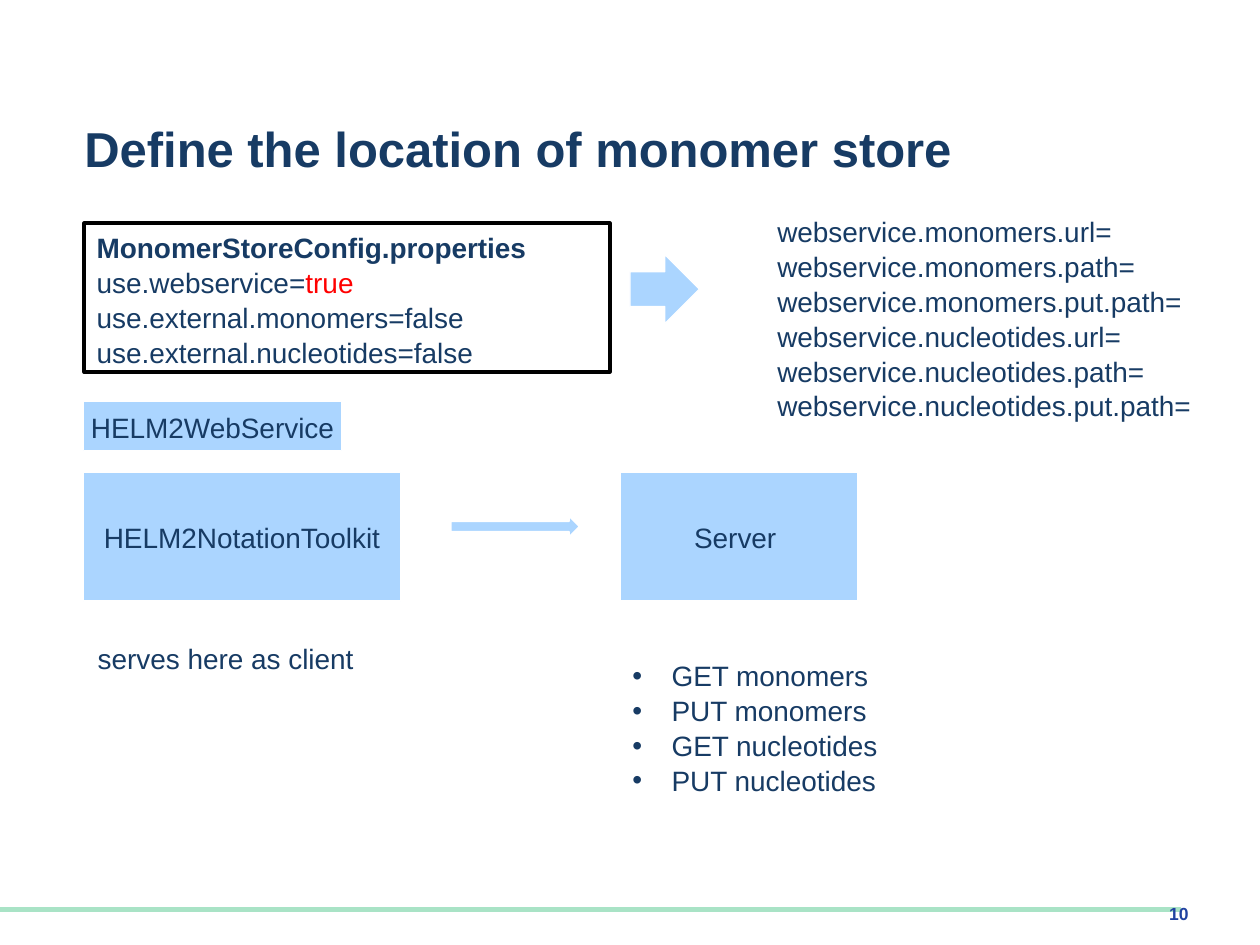
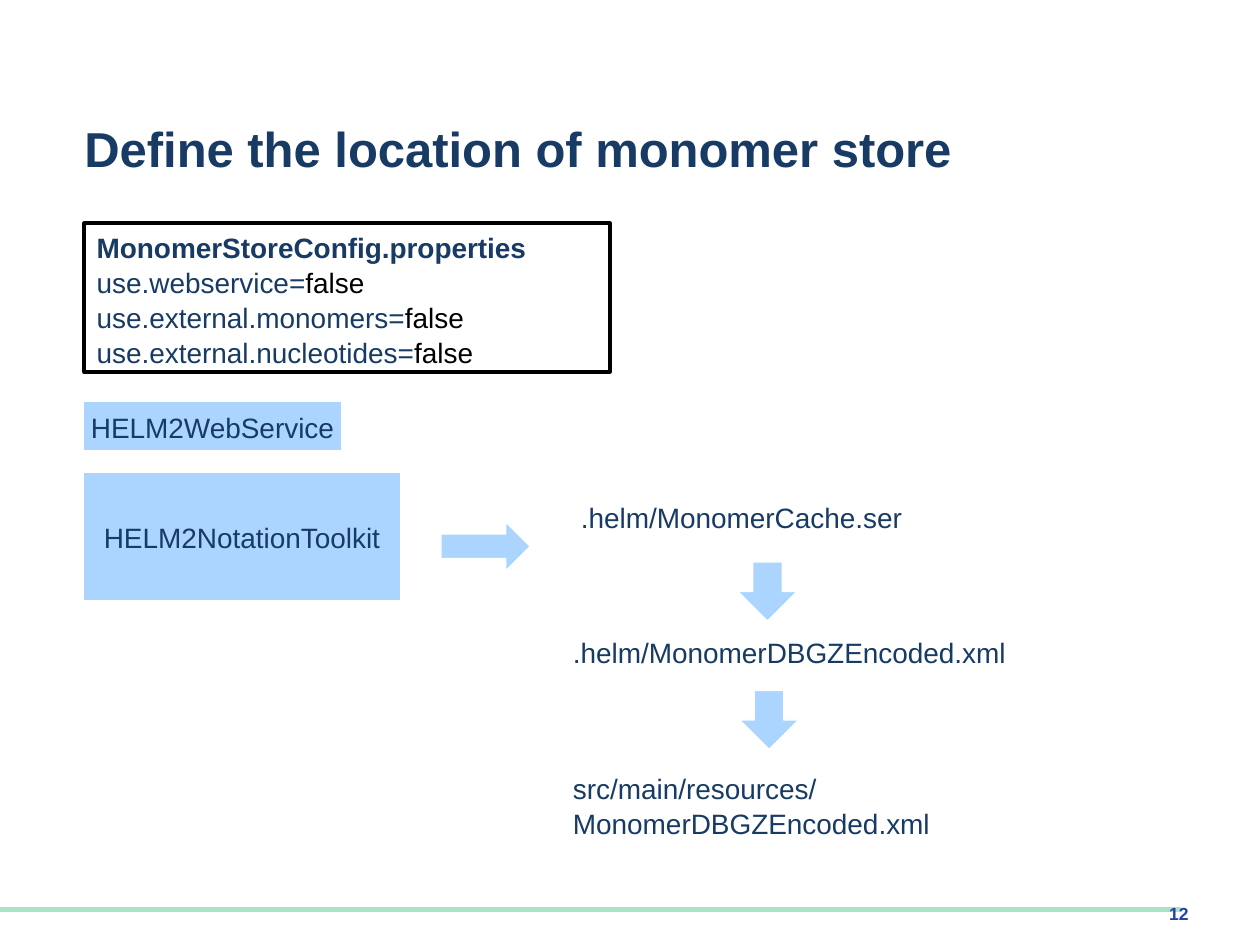
"""Build two slides on where the monomer store is located."""
from dataclasses import dataclass

from lxml import etree
from pptx import Presentation
from pptx import util as u
from pptx.dml import color
from pptx.enum import shapes, text
from pptx.oxml import ns


@dataclass(frozen=True)
class Theme:
    font: str = "Arial"
    navy: str = "173B64"
    sky: str = "ABD5FF"
    mint: str = "A9E3C6"
    number: str = "2143A1"
    white: str = "FFFFFF"
    black: str = "000000"
    red: str = "FF0000"
    title_size: int = 28
    body_size: int = 16
    number_size: int = 10
    spacing: float = 1.04


def box_cm(*lengths):
    return [u.Cm(v) for v in lengths]


class Deck:
    def __init__(self, theme):
        self.theme = theme
        self.prs = Presentation()
        self.prs.slide_width, self.prs.slide_height = box_cm(25.4, 19.05)
        self.s = None

    def slide(self, title, number):
        t = self.theme
        self.s = self.prs.slides.add_slide(self.prs.slide_layouts[5])
        self.footer_line()
        sp = self.s.shapes.title
        sp.left, sp.top, sp.width, sp.height = box_cm(1.7, 2.34, 23.42, 1.65)
        self.fill_text(sp, [title], margin=0, size=t.title_size, bold=True)
        self.text_box((23.57, 18.06, 2.11, 0.56), [number], margin=0,
                      anchor=text.MSO_ANCHOR.BOTTOM, size=t.number_size,
                      bold=True, rgb=t.number)

    def footer_line(self):
        line = self.s.shapes.add_connector(
            shapes.MSO_CONNECTOR.STRAIGHT, *box_cm(0, 18.34, 23.8, 18.34))
        line.line.color.rgb = color.RGBColor.from_string(self.theme.mint)
        line.line.width = u.Pt(3)
        etree.SubElement(line._element.spPr, ns.qn("a:effectLst"))

    def shape(self, kind, at, fill=None, line=None, width=0.75):
        sp = self.s.shapes.add_shape(kind, *box_cm(*at))
        sp.shadow.inherit = False
        if fill:
            sp.fill.solid()
            sp.fill.fore_color.rgb = color.RGBColor.from_string(fill)
        else:
            sp.fill.background()
        sp.line.color.rgb = color.RGBColor.from_string(line or self.theme.white)
        sp.line.width = u.Pt(width)
        return sp

    def block(self, at, label):
        sp = self.shape(shapes.MSO_SHAPE.RECTANGLE, at, self.theme.sky)
        self.fill_text(sp, [label], anchor=text.MSO_ANCHOR.MIDDLE, wrap=False,
                       align=text.PP_ALIGN.CENTER)

    def arrow(self, at, down=False):
        kind = shapes.MSO_SHAPE.DOWN_ARROW if down else shapes.MSO_SHAPE.RIGHT_ARROW
        self.shape(kind, at, self.theme.sky)

    def text_box(self, at, paragraphs, **style):
        sp = self.s.shapes.add_textbox(*box_cm(*at))
        self.fill_text(sp, paragraphs, **style)
        return sp

    def config(self, settings):
        t = self.theme
        sp = self.shape(shapes.MSO_SHAPE.RECTANGLE, (1.7, 4.5, 10.59, 3),
                        line=t.black, width=2.25)
        heading = [("MonomerStoreConfig.properties", {"bold": True})]
        rows = [[(f"use.{key}=", {}), ("true" if rgb == t.red else "false", {"rgb": rgb})]
                for key, rgb in settings.items()]
        self.fill_text(sp, [heading, *rows], align=text.PP_ALIGN.JUSTIFY)

    def fill_text(self, sp, paragraphs, margin=None, wrap=True,
                  anchor=text.MSO_ANCHOR.TOP, align=text.PP_ALIGN.LEFT,
                  bullet=False, gap=0, **font):
        tf = sp.text_frame
        frame = {"word_wrap": wrap, "vertical_anchor": anchor,
                 "auto_size": text.MSO_AUTO_SIZE.NONE}
        if margin is not None:
            frame |= {f"margin_{side}": u.Cm(margin)
                      for side in ("left", "top", "right", "bottom")}
        for name, value in frame.items():
            setattr(tf, name, value)
        for i, runs in enumerate(paragraphs):
            p = tf.add_paragraph() if i else tf.paragraphs[0]
            layout = {"alignment": align, "line_spacing": self.theme.spacing,
                      "space_before": u.Pt(gap if i else 0)}
            for name, value in layout.items():
                setattr(p, name, value)
            if bullet:
                self.bullet(p)
            for words, extra in [(runs, {})] if isinstance(runs, str) else runs:
                self.run(p, words, {**font, **extra})

    def run(self, p, words, font):
        t = self.theme
        r = p.add_run()
        r.text = words
        values = {"name": t.font, "size": u.Pt(font.get("size", t.body_size)),
                  "bold": font.get("bold", False)}
        for name, value in values.items():
            setattr(r.font, name, value)
        r.font.color.rgb = color.RGBColor.from_string(font.get("rgb", t.navy))

    def bullet(self, p):
        pPr = p._p.get_or_add_pPr()
        pPr.set("marL", str(u.Cm(0.79)))
        pPr.set("indent", str(-u.Cm(0.79)))
        etree.SubElement(pPr, ns.qn("a:buFont"), typeface=self.theme.font)
        etree.SubElement(pPr, ns.qn("a:buChar"), char="•")

    def store_slide(self, number, settings):
        self.slide("Define the location of monomer store", number)
        self.config(settings)
        self.block((1.68, 8.1, 5.21, 0.99), "HELM2WebService")
        self.block((1.68, 9.53, 6.4, 2.59), "HELM2NotationToolkit")


def webservice_slide(deck):
    t = deck.theme
    deck.store_slide("10", {"webservice": t.red, "external.monomers": t.navy,
                            "external.nucleotides": t.navy})
    deck.arrow((9.09, 10.41, 2.59, 0.41))
    deck.block((12.5, 9.53, 4.8, 2.59), "Server ")
    kinds = ("monomers", "nucleotides")
    deck.text_box((12.5, 13.13, 7.59, 3),
                  [f"{verb} {kind}" for kind in kinds for verb in ("GET", "PUT")],
                  bullet=True)
    deck.text_box((1.68, 12.78, 5.74, 0.94), ["serves here as client"], wrap=False,
                  align=text.PP_ALIGN.CENTER)
    deck.arrow((12.7, 5.13, 1.4, 1.4))
    deck.text_box((15.42, 4.17, 9.22, 4.37),
                  [f"webservice.{kind}.{key}=" for kind in kinds
                   for key in ("url", "path", "put.path")])


def local_slide(deck):
    keys = ("webservice", "external.monomers", "external.nucleotides")
    deck.store_slide("12", dict.fromkeys(keys, deck.theme.black))
    sp = deck.text_box((11.3, 9.93, 11.99, 7.09),
                       [".helm/MonomerCache.ser", ".helm/MonomerDBGZEncoded.xml",
                        "src/main/resources/MonomerDBGZEncoded.xml"], gap=57.5)
    first = sp.text_frame.paragraphs[0]
    first._p.get_or_add_pPr().set("marL", str(u.Cm(0.16)))
    deck.arrow((8.89, 10.52, 1.8, 0.99))
    for left, top in ((14.88, 11.33), (14.91, 13.92)):
        deck.arrow((left, top, 1.19, 1.19), down=True)


def main():
    deck = Deck(Theme())
    webservice_slide(deck)
    local_slide(deck)
    deck.prs.save("out.pptx")


if __name__ == "__main__":
    main()
